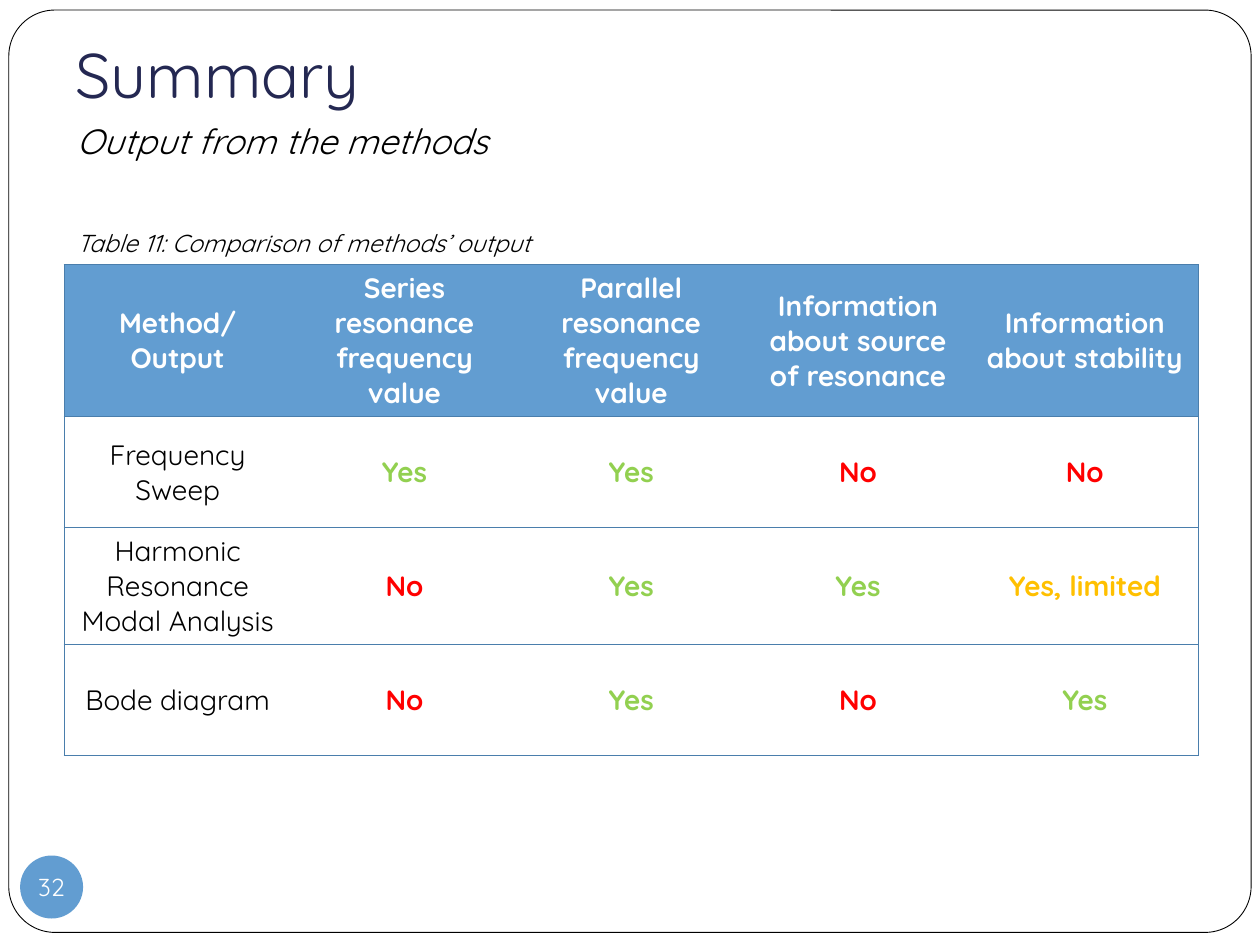
from lxml import etree
from pptx import Presentation
from pptx.dml.color import RGBColor
from pptx.enum.shapes import MSO_SHAPE
from pptx.enum.text import MSO_ANCHOR, PP_ALIGN
from pptx.oxml.ns import qn
from pptx.util import Inches, Pt

ROUND, OVAL = MSO_SHAPE.ROUNDED_RECTANGLE, MSO_SHAPE.OVAL
TOP, MIDDLE, BOTTOM = MSO_ANCHOR.TOP, MSO_ANCHOR.MIDDLE, MSO_ANCHOR.BOTTOM
LEFT, CENTER = PP_ALIGN.LEFT, PP_ALIGN.CENTER

WHITE, BLACK, NAVY = "FFFFFF", "000000", "242852"
BLUE, RULE = "629DD1", "4A7EAC"
MARKS = {"Yes": "92D050", "No": "FF0000", "Yes, limited": "FFC000"}

ROWS = [
    ["Method/ Output", "Series resonance frequency value",
     "Parallel resonance frequency value",
     "Information about source of resonance", "Information about stability"],
    ["Frequency Sweep", "Yes", "Yes", "No", "No"],
    ["Harmonic\nResonance Modal Analysis", "No", "Yes", "Yes", "Yes, limited"],
    ["Bode diagram", "No", "Yes", "No", "Yes"],
]


def color(code):
    return RGBColor.from_string(code)


def write(frame, text, font="Quicksand", size=16, ink=BLACK, bold=False,
          italic=False, align=LEFT, anchor=TOP, before=0, wrap=True):
    frame.word_wrap = wrap
    frame.vertical_anchor = anchor
    frame.text = text
    for para in frame.paragraphs:
        para.alignment = align
        para.space_before = Pt(before)
        for run in para.runs:
            run.font.name = font
            run.font.size = Pt(size)
            run.font.bold = bold
            run.font.italic = italic
            run.font.color.rgb = color(ink)


def edge(cell, side, ink):
    """Draw one cell border, or clear it when ink is None."""
    props = cell._tc.get_or_add_tcPr()
    line = etree.SubElement(props, qn("a:ln" + side), w=str(Pt(0.75)))
    if ink is None:
        etree.SubElement(line, qn("a:noFill"))
    else:
        fill = etree.SubElement(line, qn("a:solidFill"))
        etree.SubElement(fill, qn("a:srgbClr"), val=ink)


class Page:
    def __init__(self, deck):
        self.slide = deck.slides.add_slide(deck.slide_layouts[5])

    def shape(self, kind, x, y, w, h, fill, line=None):
        item = self.slide.shapes.add_shape(
            kind, Inches(x), Inches(y), Inches(w), Inches(h))
        item.shadow.inherit = False
        item.fill.solid()
        item.fill.fore_color.rgb = color(fill)
        if line:
            item.line.color.rgb = color(line)
            item.line.width = Pt(0.5)
        else:
            item.line.fill.background()
        return item

    def title(self, text, x, y, w, h):
        item = self.slide.shapes.title
        item.left, item.top = Inches(x), Inches(y)
        item.width, item.height = Inches(w), Inches(h)
        write(item.text_frame, text, size=36, ink=NAVY, anchor=BOTTOM)
        item.text_frame.margin_bottom = Inches(0.1)
        tree = self.slide.shapes._spTree
        tree.append(item._element)  # bring in front of the frame

    def text(self, text, x, y, w, h, **style):
        item = self.slide.shapes.add_textbox(
            Inches(x), Inches(y), Inches(w), Inches(h))
        write(item.text_frame, text, **style)

    def badge(self, text, x, y, side):
        frame = self.shape(OVAL, x, y, side, side, BLUE).text_frame
        frame.margin_left = frame.margin_right = 0
        frame.margin_top = frame.margin_bottom = 0
        write(frame, text, size=14, ink=WHITE, align=CENTER,
              anchor=MIDDLE, wrap=False)

    def table(self, rows, x, y, w, high):
        last = len(rows[0]) - 1
        grid = self.slide.shapes.add_table(
            len(rows), last + 1, Inches(x), Inches(y),
            Inches(w), Inches(high * len(rows))).table
        grid.first_row = grid.horz_banding = False
        for r, row in enumerate(rows):
            for c, text in enumerate(row):
                cell = grid.cell(r, c)
                head = r == 0
                ink = WHITE if head else MARKS.get(text, BLACK)
                write(cell.text_frame, text, ink=ink, bold=head or c > 0,
                      align=CENTER)
                cell.vertical_anchor = MIDDLE
                edge(cell, "L", RULE if c == 0 else None)
                edge(cell, "R", RULE if c == last else None)
                edge(cell, "T", RULE)
                edge(cell, "B", RULE)
                cell.fill.solid()
                cell.fill.fore_color.rgb = color(BLUE if head else WHITE)


def main():
    deck = Presentation()
    deck.slide_width, deck.slide_height = Inches(10), Inches(7.5)
    page = Page(deck)
    border = page.shape(ROUND, 0.07, 0.08, 9.86, 7.32, WHITE, BLACK)
    border.adjustments[0] = 0.05
    page.badge("32", 0.16, 6.79, 0.5)
    page.text("Output from the methods", 0.51, 0.9, 9, 0.41,
              size=20, italic=True, before=4)
    page.title("Summary", 0.5, 0.36, 9, 0.62)
    page.table(ROWS, 0.51, 2.1, 9, 0.88)
    page.text("Table 11: Comparison of methods’ output", 0.51, 1.76, 4.88, 0.34,
              size=14, italic=True)
    deck.save("out.pptx")


if __name__ == "__main__":
    main()
